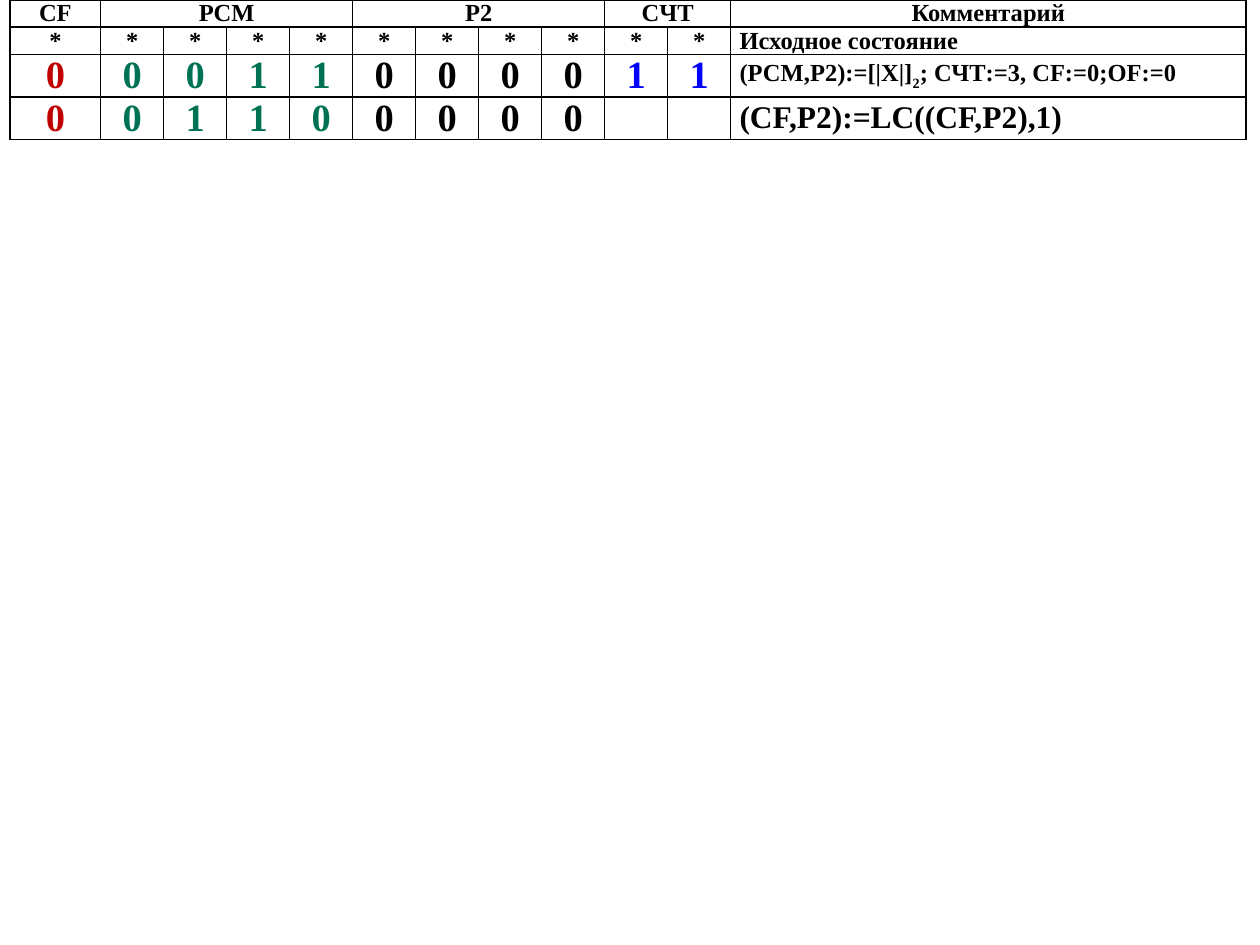
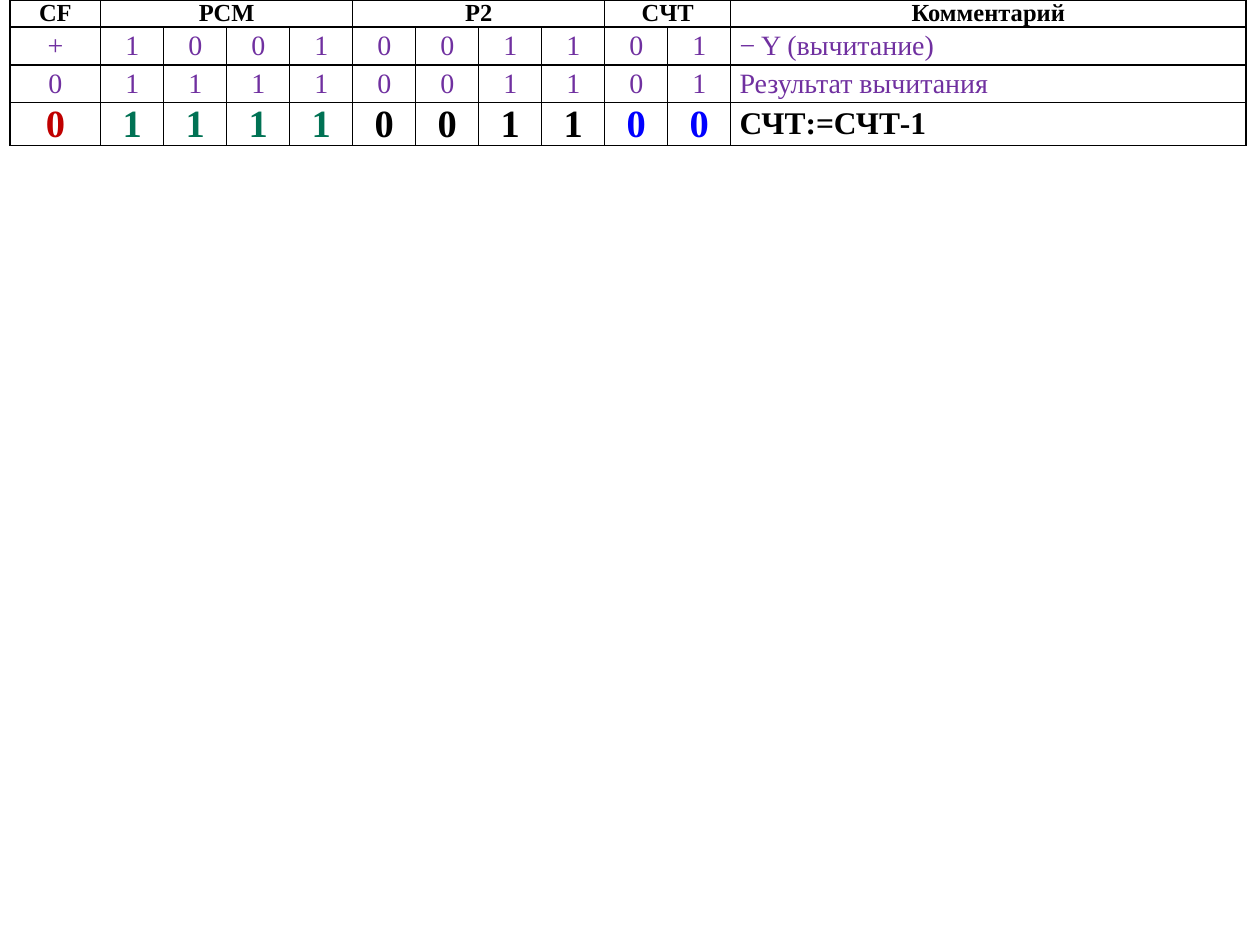
from dataclasses import dataclass

from lxml import etree
from pptx import Presentation
from pptx.dml.color import RGBColor
from pptx.enum.text import MSO_ANCHOR, PP_ALIGN
from pptx.oxml.ns import qn
from pptx.util import Inches, Pt

CENTER, LEFT = PP_ALIGN.CENTER, PP_ALIGN.LEFT
TOP, MIDDLE = MSO_ANCHOR.TOP, MSO_ANCHOR.MIDDLE


@dataclass(frozen=True)
class Theme:
    font: str = "Times New Roman"
    black: str = "000000"
    red: str = "C00000"
    green: str = "007254"
    blue: str = "0000FF"
    purple: str = "7030A0"
    small: int = 14
    medium: int = 16
    comment: int = 18
    digit: int = 22
    border: float = 1


T = Theme()

# Register groups: heading and number of bit columns
GROUPS = [("CF", 1), ("PCM", 4), ("P2", 4), ("CЧТ", 2), ("Комментарий", 1)]
COL_WIDTHS = [0.72] + [0.5] * 10 + [4.09]
LOW_ROW, HIGH_ROW = 0.15, 0.3
TABLE_LEFT = 0.08

# Colour of each bit column in a register row
REGISTER_COLORS = [T.red] + [T.green] * 4 + [T.black] * 4 + [T.blue] * 2


@dataclass(frozen=True)
class Row:
    bits: str                   # one character per bit column, space = empty
    comment: tuple              # text pieces, every second one is a subscript
    comment_size: int
    size: int = T.digit
    color: str = ""             # one colour for the row; empty = by register
    bold: bool = True
    height: float = HIGH_ROW


INITIAL_ROWS = [
    Row("*" * 11, ("Исходное состояние",), T.small, T.small, T.black,
        height=LOW_ROW),
    Row("00011000011", ("(РСМ,Р2):=[|Х|]", "2", "; СЧТ:=3, CF:=0;OF:=0"), T.small),
    Row("001100000  ", ("(CF,P2):=LC((CF,P2),1)",), T.comment),
]
SUBTRACTION_ROWS = [
    Row("+1001001101", ("− Y (вычитание)",), T.medium, T.medium, T.purple, False),
    Row("01111001101", ("Результат вычитания",), T.medium, T.medium, T.purple, False),
    Row("01111001100", ("СЧТ:=СЧТ-1",), T.comment),
]


def style_cell(cell):
    """Black borders, no fill, tight margins."""
    cell.margin_left = cell.margin_right = Inches(0.07)
    cell.margin_top = cell.margin_bottom = 0
    tcPr = cell._tc.get_or_add_tcPr()
    for side in ("a:lnL", "a:lnR", "a:lnT", "a:lnB"):
        ln = etree.SubElement(tcPr, qn(side), w=str(Pt(T.border)))
        fill = etree.SubElement(ln, qn("a:solidFill"))
        etree.SubElement(fill, qn("a:srgbClr"), val=T.black)
    cell.fill.background()


def write_cell(cell, pieces, size, color=T.black, bold=True, align=CENTER,
               anchor=MIDDLE):
    cell.vertical_anchor = anchor
    p = cell.text_frame.paragraphs[0]
    p.alignment = align
    p.space_after = Pt(1)
    for i, piece in enumerate(pieces):
        r = p.add_run()
        r.text = piece
        r.font.name = T.font
        r.font.size = Pt(size)
        r.font.bold = bold
        r.font.color.rgb = RGBColor.from_string(color)
        if i % 2:
            r._r.get_or_add_rPr().set("baseline", "-25000")


def fill_header(table):
    col = 0
    for heading, span in GROUPS:
        cell = table.cell(0, col)
        if span > 1:
            cell.merge(table.cell(0, col + span - 1))
        write_cell(cell, (heading,), T.small, anchor=TOP)
        col += span


def fill_row(table, index, row):
    for col, bit in enumerate(row.bits):
        if bit != " ":
            write_cell(table.cell(index, col), (bit,), row.size,
                       row.color or REGISTER_COLORS[col], row.bold)
    write_cell(table.cell(index, len(row.bits)), row.comment, row.comment_size,
               row.color or T.black, row.bold, LEFT)


def add_register_slide(prs, rows):
    s = prs.slides.add_slide(prs.slide_layouts[6])
    heights = [LOW_ROW] + [row.height for row in rows]
    table = s.shapes.add_table(
        len(heights), len(COL_WIDTHS), Inches(TABLE_LEFT), 0,
        Inches(sum(COL_WIDTHS)), Inches(sum(heights))).table
    table.first_row = table.horz_banding = False
    for column, width in zip(table.columns, COL_WIDTHS):
        column.width = Inches(width)
    for line, height in zip(table.rows, heights):
        line.height = Inches(height)
    for cell in table.iter_cells():
        style_cell(cell)
    fill_header(table)
    for index, row in enumerate(rows, start=1):
        fill_row(table, index, row)


def main():
    prs = Presentation()
    prs.slide_width, prs.slide_height = Inches(10), Inches(7.5)
    for rows in (INITIAL_ROWS, SUBTRACTION_ROWS):
        add_register_slide(prs, rows)
    prs.save("out.pptx")


if __name__ == "__main__":
    main()
